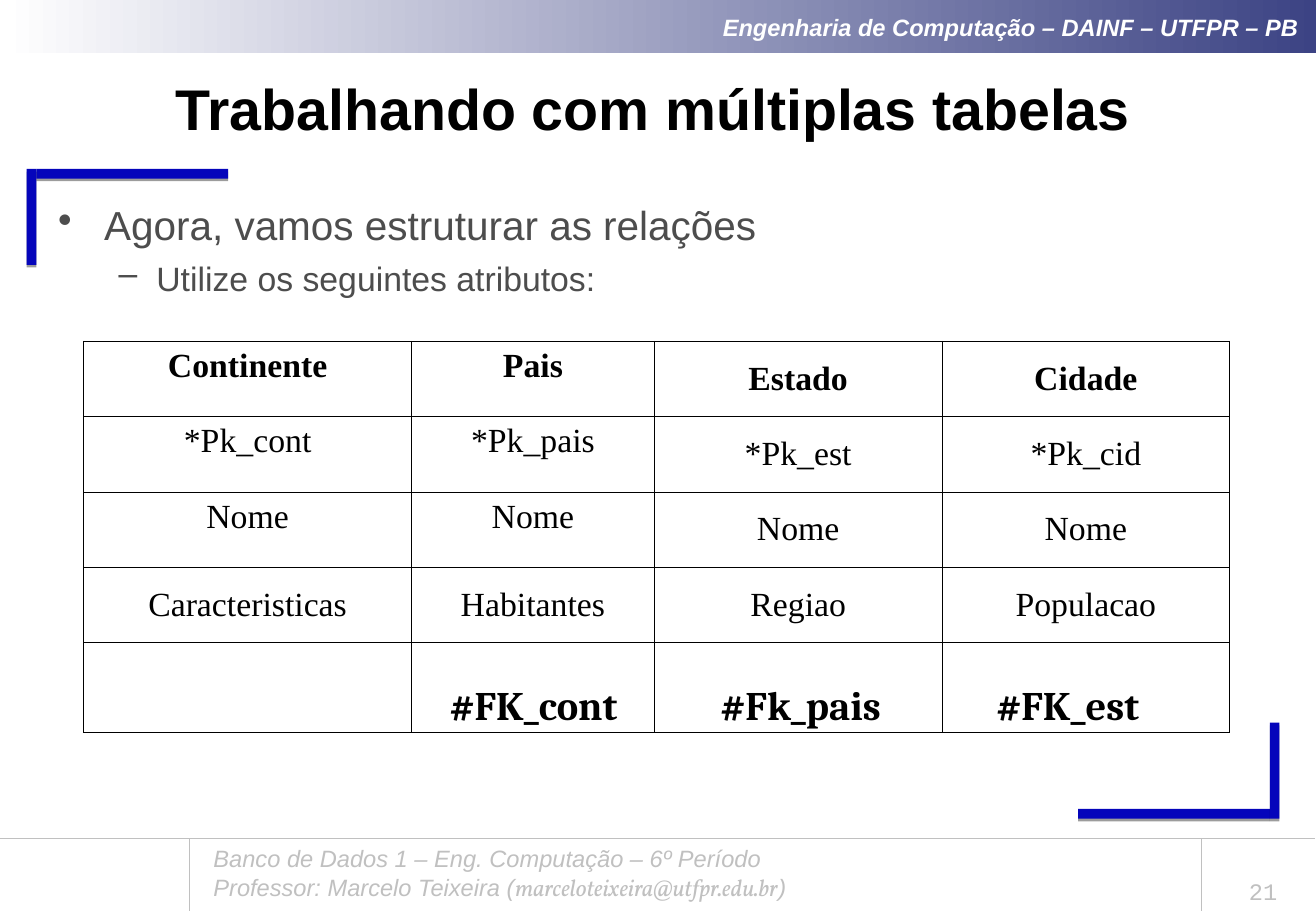
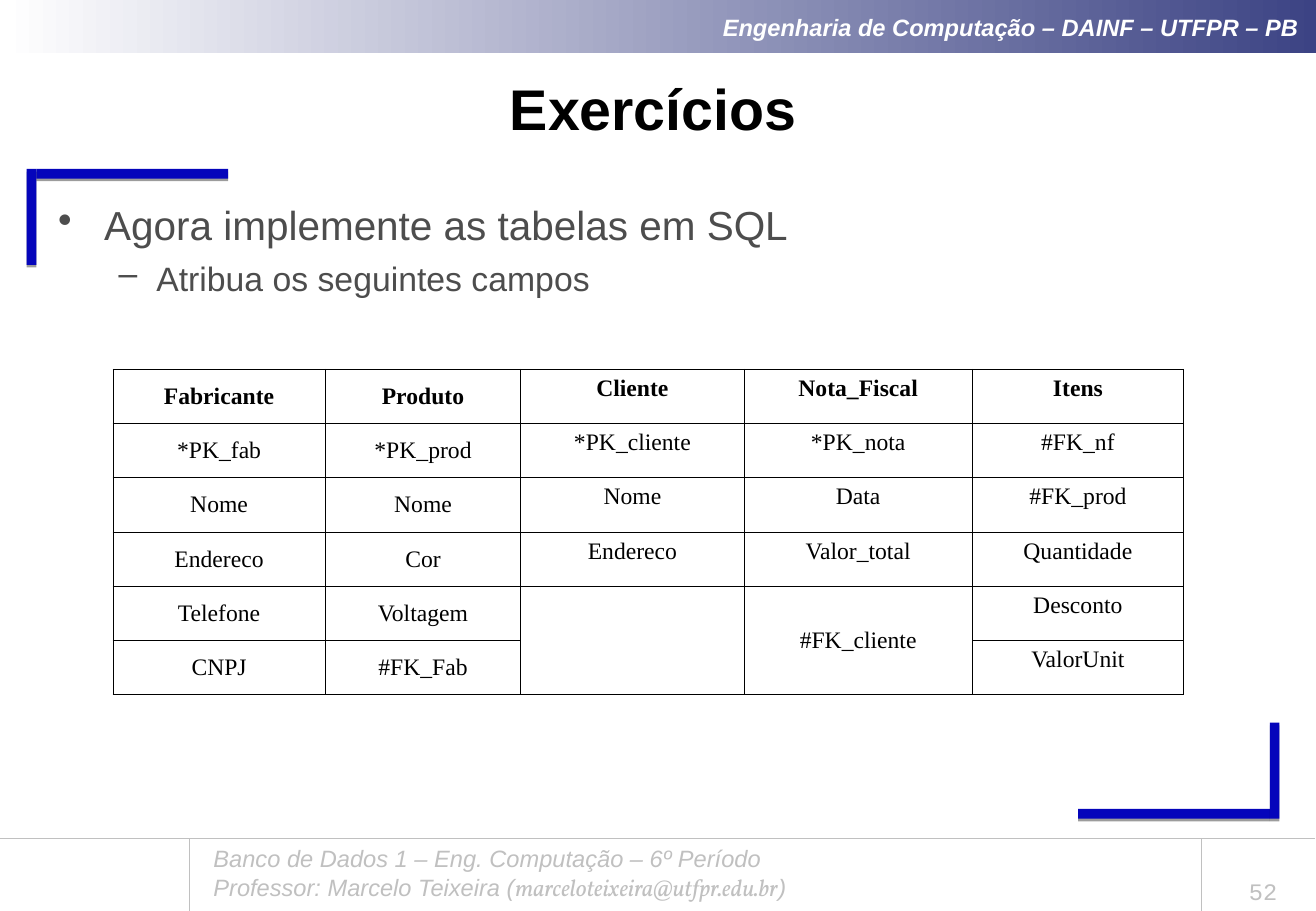
"""Build two database lesson slides with a shared band, corner brackets and footer."""
from dataclasses import dataclass

from lxml import etree
from pptx import Presentation
from pptx.dml.color import RGBColor as RGB
from pptx.enum.shapes import MSO_CONNECTOR as CONNECTOR, MSO_SHAPE as SHAPE
from pptx.enum.text import MSO_ANCHOR as ANCHOR, PP_ALIGN as ALIGN
from pptx.oxml import parse_xml
from pptx.oxml.ns import nsdecls, qn
from pptx.util import Inches, Pt


@dataclass(frozen=True)
class Theme:
    """Colours, fonts and type sizes."""
    white: str = "FFFFFF"
    black: str = "000000"
    band: str = "3C4384"
    bracket: str = "0505BB"
    body: str = "4D4D4D"
    footer: str = "C0C0C0"
    sans: str = "Arial"
    serif: str = "Times New Roman"
    key: str = "Cambria"
    email: str = "Vollkorn"
    mono: str = "Courier New"
    title_size: int = 34
    body_size: int = 24
    detail_size: int = 20
    small_size: int = 14


theme = Theme()


def write(paragraph, text, name, size, color, **formats):
    """Add one formatted run to a paragraph."""
    run = paragraph.add_run()
    run.text = text
    run.font.color.rgb = RGB.from_string(color)
    for key, value in dict(name=name, size=Pt(size), **formats).items():
        setattr(run.font, key, value)


def add_text_box(slide, box, **formats):
    """Add a text box and return its frame."""
    frame = slide.shapes.add_textbox(*map(Inches, box)).text_frame
    for key, value in dict(word_wrap=True, **formats).items():
        setattr(frame, key, value)
    return frame


BRACKET_BARS = [
    (8.88, 6.66, 1.58, 0.08),
    (10.46, 5.95, 0.08, 0.79),
    (0.3, 1.39, 1.58, 0.08),
    (0.22, 1.39, 0.08, 0.79),
]
FOOTER_RULES = [
    (1.56, 6.9, 1.56, 7.5, 0.75),
    (9.9, 6.9, 9.9, 7.5, 0.75),
    (0, 6.9, 10.83, 6.9, 0.25),
]
BULLETS = [
    ("•", 0.38, -0.38, 0, theme.body_size),
    ("–", 0.81, -0.31, 5, theme.detail_size),
]
LESSONS = [
    dict(
        title="Trabalhando com múltiplas tabelas",
        number="21",
        body=["Agora, vamos estruturar as relações", "Utilize os seguintes atributos:"],
        place=(0.69, 2.81),
        columns=[2.7, 2, 2.37, 2.37],
        heights=[0.62] * 4 + [0.74],
        size=theme.detail_size,
        top_columns=(0, 1),
        top_rows=3,
        merged=[],
        rows=[
            ["Continente", "Pais", "Estado", "Cidade"],
            ["*Pk_cont", "*Pk_pais", "*Pk_est", "*Pk_cid"],
            ["Nome", "Nome", "Nome", "Nome"],
            ["Caracteristicas", "Habitantes", "Regiao", "Populacao"],
            ["", "", "", ""],
        ],
        foreign_keys=["#FK_cont", "#Fk_pais", "#FK_est"],
    ),
    dict(
        title="Exercícios",
        number="52",
        body=["Agora implemente as tabelas em SQL", "Atribua os seguintes campos"],
        place=(0.93, 3.04),
        columns=[1.75, 1.61, 1.84, 1.88, 1.74],
        heights=[2.68 / 6] * 6,
        size=theme.small_size,
        top_columns=(2, 3, 4),
        top_rows=6,
        merged=[(4, 2), (4, 3)],
        rows=[
            ["Fabricante", "Produto", "Cliente", "Nota_Fiscal", "Itens"],
            ["*PK_fab", "*PK_prod", "*PK_cliente", "*PK_nota", "#FK_nf"],
            ["Nome", "Nome", "Nome", "Data", "#FK_prod"],
            ["Endereco", "Cor", "Endereco", "Valor_total", "Quantidade"],
            ["Telefone", "Voltagem", "", "#FK_cliente", "Desconto"],
            ["CNPJ", "#FK_Fab", "", "", "ValorUnit"],
        ],
        foreign_keys=[],
    ),
]

presentation = Presentation()
presentation.slide_width = Inches(10.84)
presentation.slide_height = Inches(7.5)

for lesson in LESSONS:
    slide = presentation.slides.add_slide(presentation.slide_layouts[6])

    band = slide.shapes.add_shape(SHAPE.RECTANGLE, *map(Inches, (0.02, 0, 10.83, 0.44)))
    band.shadow.inherit = False
    band.line.fill.background()
    band.fill.gradient()
    band.fill.gradient_angle = 0
    for stop, position, color in zip(band.fill.gradient_stops, (0, 1), (theme.white, theme.band)):
        stop.position = position
        stop.color.rgb = RGB.from_string(color)
    band.text_frame.vertical_anchor = ANCHOR.MIDDLE
    band.text_frame.margin_right = Inches(0.15)
    paragraph = band.text_frame.paragraphs[0]
    paragraph.alignment = ALIGN.RIGHT
    write(paragraph, "Engenharia de Computação – DAINF – UTFPR – PB",
          theme.sans, theme.small_size, theme.white, bold=True, italic=True)

    for box in BRACKET_BARS:
        bar = slide.shapes.add_shape(SHAPE.RECTANGLE, *map(Inches, box))
        bar.fill.solid()
        bar.fill.fore_color.rgb = RGB.from_string(theme.bracket)
        bar.line.fill.background()
        bar.shadow.inherit = False
        bar.element.spPr.find(qn("a:effectLst")).append(parse_xml(
            f'<a:outerShdw {nsdecls("a")} blurRad="0" dist="{Pt(1.6)}" dir="5400000" rotWithShape="0">'
            f'<a:srgbClr val="{theme.black}"><a:alpha val="38000"/></a:srgbClr></a:outerShdw>'))

    for *ends, width in FOOTER_RULES:
        rule = slide.shapes.add_connector(CONNECTOR.STRAIGHT, *map(Inches, ends))
        rule.line.color.rgb = RGB.from_string(theme.footer)
        rule.line.width = Pt(width)
        etree.SubElement(rule.element.spPr, qn("a:effectLst"))

    footer = add_text_box(slide, (1.66, 6.9, 7.54, 0.57))
    course, professor = footer.paragraphs[0], footer.add_paragraph()
    for paragraph, text, name in [
        (course, "Banco de Dados 1 – Eng. Computação – 6º Período", theme.sans),
        (professor, "Professor: Marcelo Teixeira (", theme.sans),
        (professor, "marceloteixeira@utfpr.edu.br", theme.email),
        (professor, ")", theme.sans),
    ]:
        write(paragraph, text, name, theme.small_size, theme.footer, italic=True)

    number = add_text_box(slide, (9.97, 7.11, 0.87, 0.39), vertical_anchor=ANCHOR.BOTTOM)
    number.paragraphs[0].alignment = ALIGN.CENTER
    write(number.paragraphs[0], lesson["number"], theme.mono, theme.small_size, theme.footer)

    title = add_text_box(slide, (0.22, 0.54, 10.32, 0.69), vertical_anchor=ANCHOR.MIDDLE)
    title.paragraphs[0].alignment = ALIGN.CENTER
    write(title.paragraphs[0], lesson["title"], theme.sans, theme.title_size, theme.black, bold=True)

    body = add_text_box(slide, (0.38, 1.6, 10, 1.1))
    body.add_paragraph()
    for level, (paragraph, text, bullet) in enumerate(zip(body.paragraphs, lesson["body"], BULLETS)):
        symbol, margin, indent, space, size = bullet
        properties = paragraph._p.get_or_add_pPr()
        properties.set("marL", str(Inches(margin)))
        properties.set("indent", str(Inches(indent)))
        color = etree.SubElement(properties, qn("a:buClr"))
        etree.SubElement(color, qn("a:srgbClr"), val=theme.body)
        etree.SubElement(properties, qn("a:buChar"), char=symbol)
        paragraph.level = level
        paragraph.space_before = Pt(space)
        write(paragraph, text, theme.sans, size, theme.body)

    columns, heights = lesson["columns"], lesson["heights"]
    box = (*lesson["place"], sum(columns), sum(heights))
    table = slide.shapes.add_table(len(heights), len(columns), *map(Inches, box)).table
    table.first_row = table.horz_banding = False
    for column, width in zip(table.columns, columns):
        column.width = Inches(width)
    for row, height in zip(table.rows, heights):
        row.height = Inches(height)
    for row, column in lesson["merged"]:
        table.cell(row, column).merge(table.cell(row + 1, column))
    for row, texts in enumerate(lesson["rows"]):
        for column, text in enumerate(texts):
            cell = table.cell(row, column)
            at_top = (column in lesson["top_columns"] and row < lesson["top_rows"]
                      and not cell.is_merge_origin)
            cell.vertical_anchor = ANCHOR.TOP if at_top else ANCHOR.MIDDLE
            cell.margin_left = cell.margin_right = Inches(0.04)
            for side in ("lnL", "lnR", "lnT", "lnB"):
                cell._tc.get_or_add_tcPr().append(parse_xml(
                    f'<a:{side} {nsdecls("a")} w="{Pt(0.45)}"><a:solidFill>'
                    f'<a:srgbClr val="{theme.black}"/></a:solidFill></a:{side}>'))
            cell.fill.background()
            if text:
                paragraph = cell.text_frame.paragraphs[0]
                paragraph.alignment = ALIGN.CENTER
                write(paragraph, text, theme.serif, lesson["size"], theme.black, bold=row == 0)

    for index, text in enumerate(lesson["foreign_keys"]):
        key = add_text_box(slide, (3.53 + 2.2 * index, 5.6, 1.73, 0.39),
                           vertical_anchor=ANCHOR.MIDDLE)
        key.paragraphs[0].alignment = ALIGN.CENTER
        write(key.paragraphs[0], text, theme.key, theme.body_size, theme.black, bold=True)

presentation.save("out.pptx")
